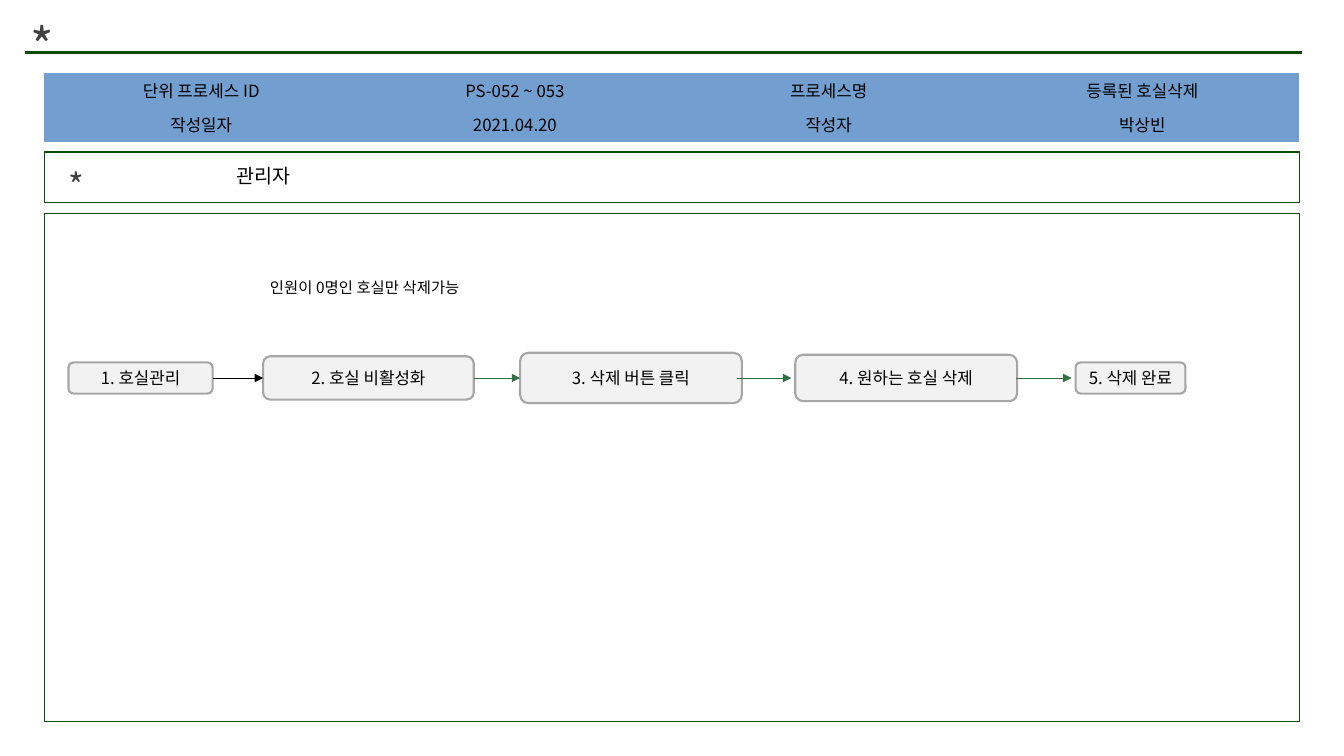
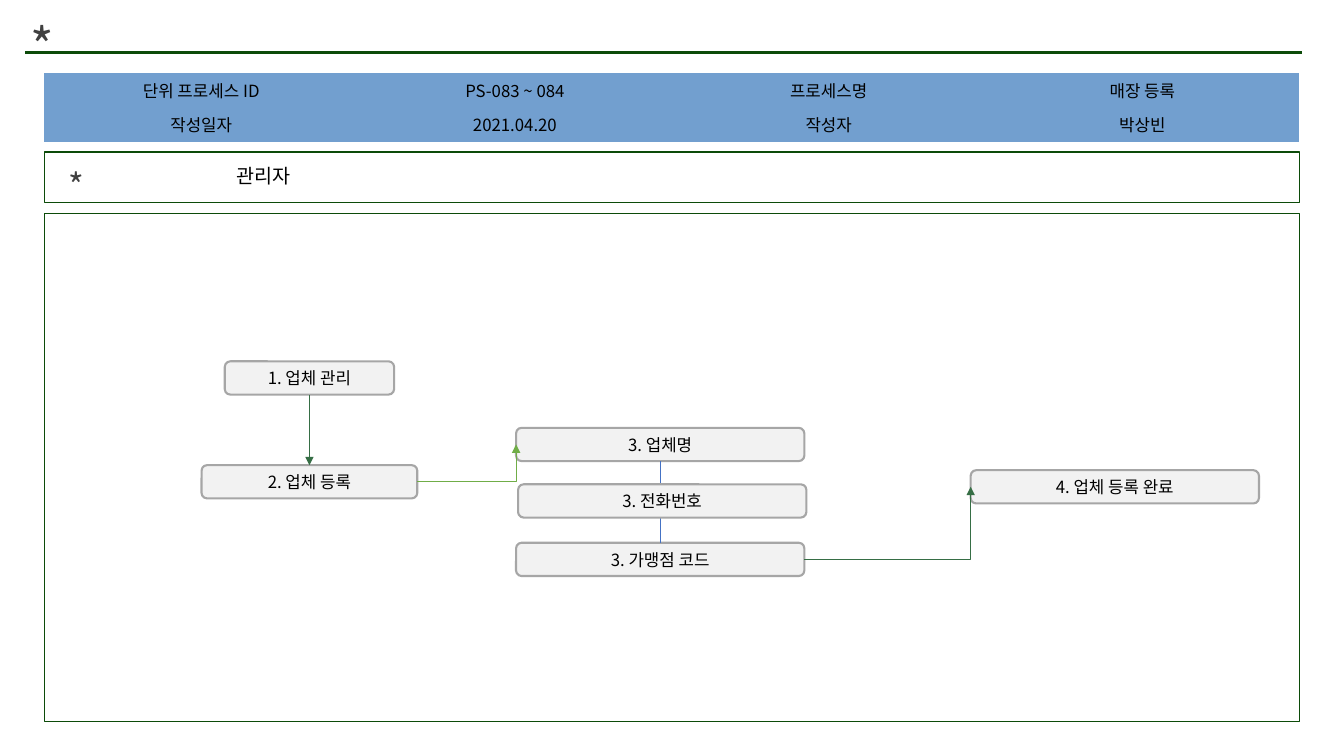
from lxml.etree import SubElement
from pptx import Presentation
from pptx.dml.color import RGBColor
from pptx.enum.shapes import MSO_CONNECTOR, MSO_SHAPE
from pptx.enum.text import MSO_ANCHOR, PP_ALIGN
from pptx.oxml.ns import qn
from pptx.util import Inches, Pt

CELL = Inches(0.1)  # side of one grid square; all lengths are counted in squares
COLS, ROWS = 133.33, 75
LEFT, WIDTH = 4.4, 124.5
FLOW_MID = 37.5

FONT = "Noto Sans CJK KR"
BLACK = RGBColor(0x00, 0x00, 0x00)
CHARCOAL = RGBColor(0x40, 0x40, 0x40)
FRAME_GREEN = RGBColor(0x0C, 0x4B, 0x09)
ARROW_GREEN = RGBColor(0x36, 0x6E, 0x45)
LIGHT_GREEN = RGBColor(0x70, 0xAD, 0x47)
LINK_BLUE = RGBColor(0x44, 0x72, 0xC4)
TABLE_BLUE = RGBColor(0x72, 0x9F, 0xCF)
BOX_FILL = RGBColor(0xF2, 0xF2, 0xF2)
BOX_LINE = RGBColor(0xA6, 0xA6, 0xA6)

TOP, LEFT_SIDE, BOTTOM, RIGHT_SIDE = range(4)
NO_STYLE = "{2D5ABB26-0587-4C30-8999-92F81FD0307C}"


def grid(*counts):
    return [round(n * CELL) for n in counts]


def write(tf, text, size=12, color=BLACK, align=PP_ALIGN.LEFT,
          anchor=MSO_ANCHOR.TOP, inset=None):
    tf.word_wrap = True
    tf.vertical_anchor = anchor
    if inset is not None:
        tf.margin_left = tf.margin_right = Inches(inset)
        tf.margin_top = tf.margin_bottom = Inches(inset)
    p = tf.paragraphs[0]
    p.alignment = align
    r = p.add_run()
    r.text = text
    r.font.size = Pt(size)
    r.font.bold = False
    r.font.color.rgb = color
    r.font.name = FONT
    SubElement(r.font._element, qn("a:ea"), typeface=FONT)


def add_label(s, text, x, y, w, h, **fmt):
    write(s.shapes.add_textbox(*grid(x, y, w, h)).text_frame, text, **fmt)


def add_frame(s, y, h):
    sp = s.shapes.add_shape(MSO_SHAPE.RECTANGLE, *grid(LEFT, y, WIDTH, h))
    sp.shadow.inherit = False
    sp.fill.background()
    sp.line.color.rgb = FRAME_GREEN
    sp.line.width = Pt(1)


def add_step(s, text, x, mid, w, h=3.3):
    """Add a rounded box whose middle height is at row mid."""
    sp = s.shapes.add_shape(MSO_SHAPE.ROUNDED_RECTANGLE, *grid(x, mid - h / 2, w, h))
    sp.shadow.inherit = False
    sp.fill.solid()
    sp.fill.fore_color.rgb = BOX_FILL
    sp.line.color.rgb = BOX_LINE
    sp.line.width = Pt(1.5)
    write(sp.text_frame, text, align=PP_ALIGN.CENTER,
          anchor=MSO_ANCHOR.MIDDLE, inset=0.04)
    return sp


def add_line(s, start, end, color=ARROW_GREEN, width=0.5, arrow=True,
             kind=MSO_CONNECTOR.STRAIGHT):
    c = s.shapes.add_connector(kind, *grid(*start, *end))
    c.line.color.rgb = color
    c.line.width = Pt(width)
    if arrow:
        SubElement(c.line._get_or_add_ln(), qn("a:tailEnd"), type="triangle")
    SubElement(c.element.spPr, qn("a:effectLst"))
    return c


def join(s, first, side, second, other_side, **fmt):
    """Draw a straight connector between the sides of two boxes."""
    c = add_line(s, (0, 0), (0, 0), **fmt)
    c.begin_connect(first, side)
    c.end_connect(second, other_side)


def add_corner_arrow(s, start, end, color=ARROW_GREEN):
    """Draw an arrow that runs sideways, then turns once towards its end."""
    c = add_line(s, start, end, color, kind=MSO_CONNECTOR.ELBOW)
    c.element.spPr.find(qn("a:prstGeom")).set("prst", "bentConnector2")


def add_info_table(s, rows):
    frame = s.shapes.add_table(len(rows), len(rows[0]),
                               *grid(LEFT, 7.2, WIDTH, 3.4 * len(rows)))
    table = frame.table
    table.first_row = table.horz_banding = False
    next(frame.element.iter(qn("a:tableStyleId"))).text = NO_STYLE
    for i, row in enumerate(rows):
        for j, text in enumerate(row):
            cell = table.cell(i, j)
            cell.fill.solid()
            cell.fill.fore_color.rgb = TABLE_BLUE
            cell.vertical_anchor = MSO_ANCHOR.MIDDLE
            write(cell.text_frame, text, align=PP_ALIGN.CENTER,
                  anchor=MSO_ANCHOR.MIDDLE)


def add_header_rule(prs, layout):
    """Draw the rule once and move it to the layout, so each slide shows it."""
    c = add_line(prs.slides[0], (2.5, 5.2), (129.2, 5.2), FRAME_GREEN, 2.25, arrow=False)
    c.element.nvCxnSpPr.cNvPr.set("id", "20")
    layout.shapes.element.append(c.element)


def add_process_slide(prs, layout, process_id, name):
    s = prs.slides.add_slide(layout)
    title = s.shapes.title
    title.left, title.top, title.width, title.height = grid(2, 1, 5.2, 7.8)
    write(title.text_frame, "*", size=36, color=CHARCOAL)
    add_info_table(s, [
        ("단위 프로세스 ID", process_id, "프로세스명", name),
        ("작성일자", "2021.04.20", "작성자", "박상빈"),
    ])
    add_label(s, "*", 5.8, 15.9, 5.2, 5.5, size=24, color=CHARCOAL)
    add_frame(s, 15.1, 5)
    add_label(s, "관리자", 22.5, 15.8, 43.2, 3.8, size=14)
    add_frame(s, 21.2, 50.4)
    return s


def add_room_flow(s):
    manage, disable, click, _, _ = [
        add_step(s, text, x, FLOW_MID, w, h) for text, x, w, h in (
            ("1. 호실관리", 6.8, 14.3, 3.1),
            ("2. 호실 비활성화", 26.1, 20.9, 4.3),
            ("3. 삭제 버튼 클릭", 51.6, 22, 5),
            ("4. 원하는 호실 삭제", 78.9, 22, 4.6),
            ("5. 삭제 완료", 106.7, 10.9, 3.1),
        )]
    join(s, manage, RIGHT_SIDE, disable, LEFT_SIDE, color=BLACK)
    join(s, disable, RIGHT_SIDE, click, LEFT_SIDE)
    for start, end in ((73.1, 78.5), (100.8, 106.3)):
        add_line(s, (start, FLOW_MID), (end, FLOW_MID))
    add_label(s, "인원이 0명인 호실만 삭제가능", 25.8, 27.1, 23.2, 3.2, size=11)


def add_store_flow(s):
    manage = add_step(s, "1. 업체 관리", 22.3, FLOW_MID, 16.8)
    register = add_step(s, "2. 업체 등록", 20, 47.8, 21.4)
    name = add_step(s, "3. 업체명", 51.2, 44.1, 28.6)
    code = add_step(s, "3. 가맹점 코드", 51.2, 55.5, 28.6)
    add_step(s, "4. 업체 등록 완료", 96.3, 48.3, 28.6)
    join(s, manage, BOTTOM, register, TOP)
    add_corner_arrow(s, (41.4, 47.8), (51.2, 44.1), LIGHT_GREEN)
    add_corner_arrow(s, (79.8, 55.5), (96.3, 48.3))
    join(s, name, BOTTOM, code, TOP, color=LINK_BLUE, arrow=False)
    add_step(s, "3. 전화번호", 51.4, 49.7, 28.6)


def main():
    prs = Presentation()
    prs.slide_width, prs.slide_height = grid(COLS, ROWS)
    layout = prs.slide_layouts[5]
    add_room_flow(add_process_slide(prs, layout, "PS-052 ~ 053", "등록된 호실삭제"))
    add_store_flow(add_process_slide(prs, layout, "PS-083 ~ 084", "매장 등록"))
    add_header_rule(prs, layout)
    prs.save("out.pptx")


if __name__ == "__main__":
    main()
